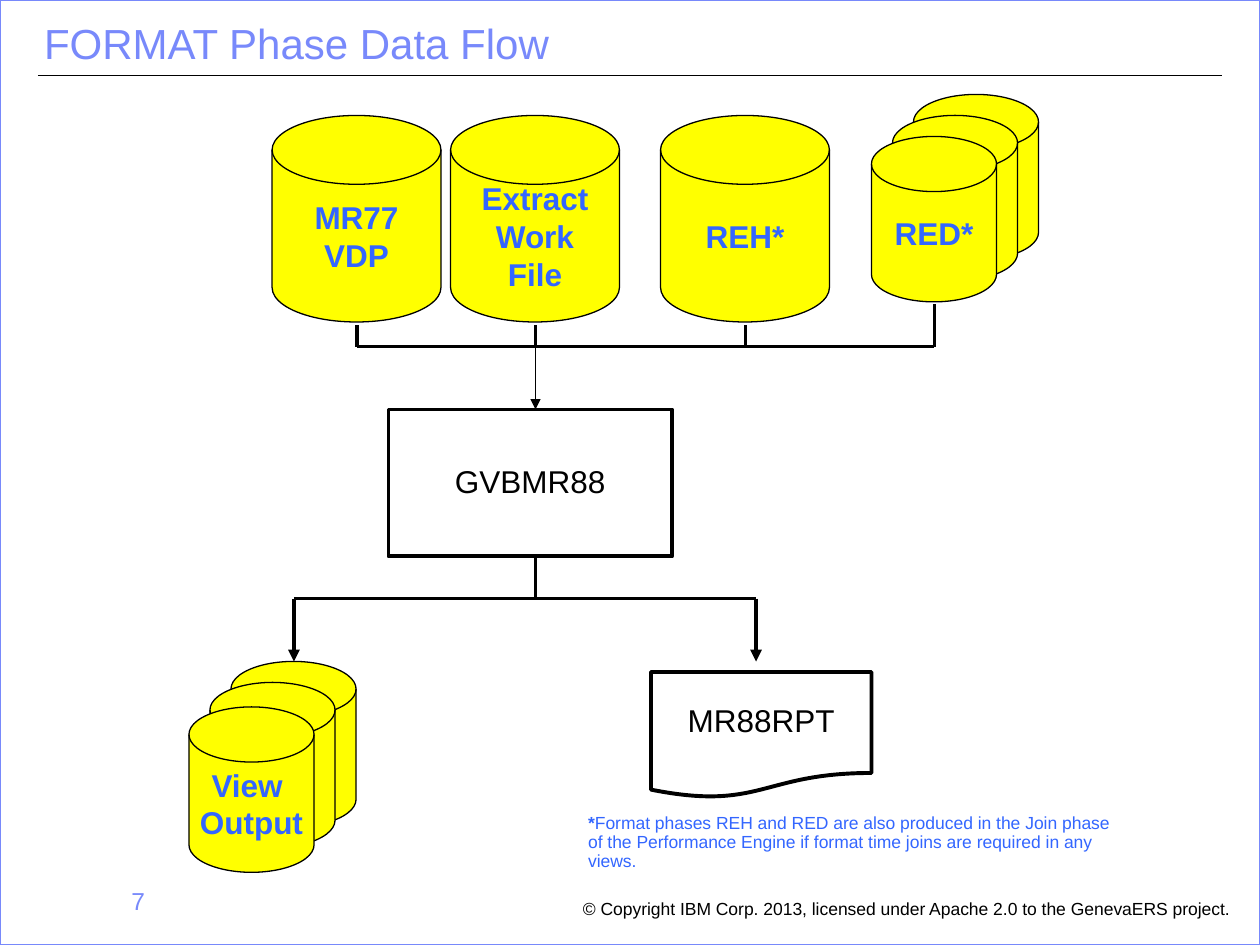
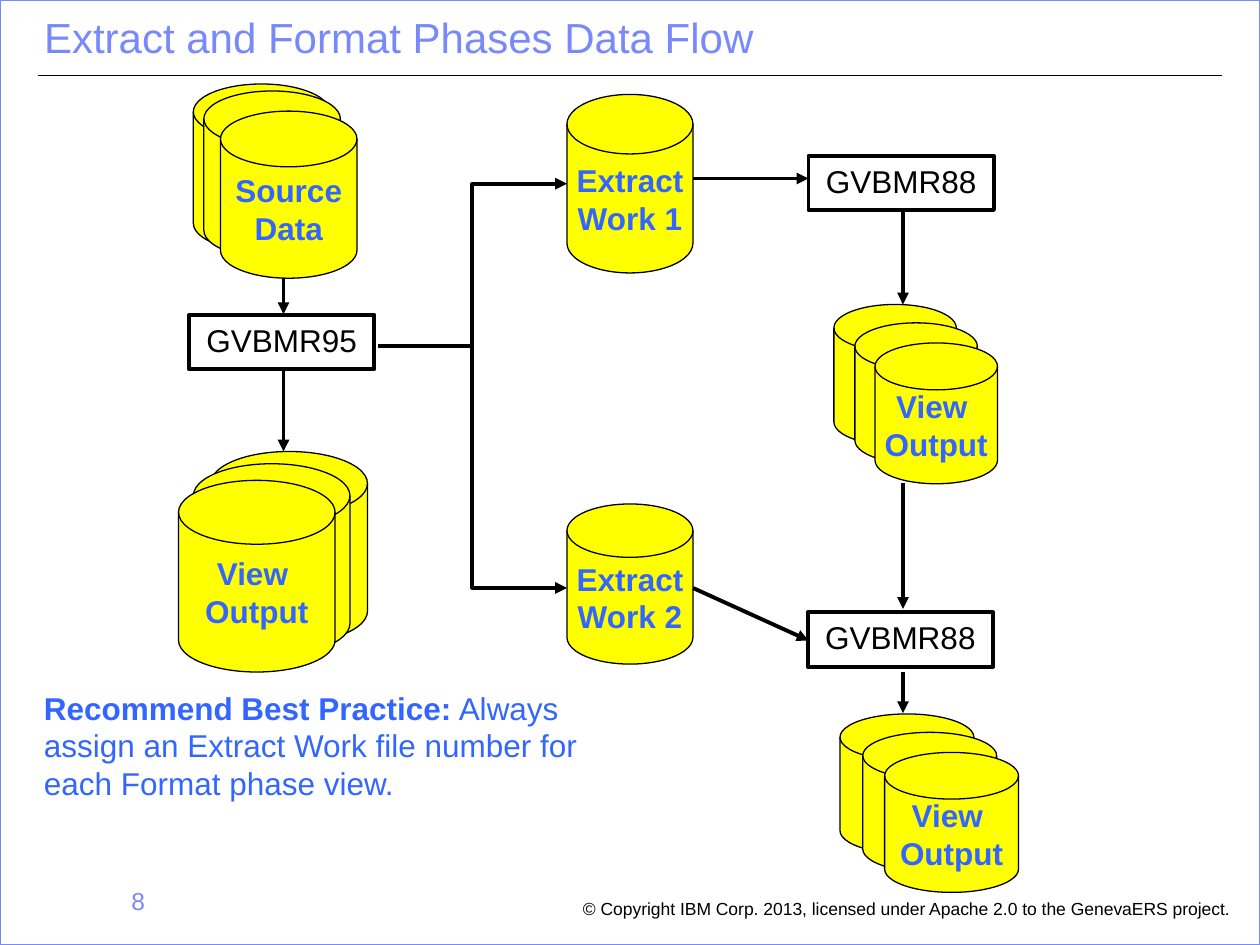
from lxml.etree import SubElement
from pptx import Presentation
from pptx.dml.color import RGBColor
from pptx.enum.shapes import MSO_CONNECTOR as CONN, MSO_SHAPE as SHAPE
from pptx.enum.text import MSO_ANCHOR as ANCHOR, MSO_AUTO_SIZE as AUTO, PP_ALIGN as ALIGN
from pptx.oxml.ns import qn
from pptx.util import Pt

BLACK = RGBColor(0x00, 0x00, 0x00)
PERIWINKLE = RGBColor(0x78, 0x89, 0xFB)
BLUE = RGBColor(0x33, 0x66, 0xFF)
YELLOW = RGBColor(0xFF, 0xFF, 0x00)
FONT = "Arial"
THIN, THICK = 0.75, 2.25
WIDTH, HEIGHT = 720, 540
COPYRIGHT = "© Copyright IBM Corp. 2013, licensed under Apache 2.0 to the GenevaERS project."


def format_run(r, size, color, bold=False):
    r.font.name = FONT
    r.font.size = Pt(size)
    r.font.bold = bold
    r.font.color.rgb = color


def format_text(tf, size, color, bold=False, align=ALIGN.LEFT, spacing=None):
    for p in tf.paragraphs:
        p.alignment = align
        p.line_spacing = spacing
        for r in p.runs:
            format_run(r, size, color, bold)


def add_shape(s, kind, x, y, w, h, color=BLACK, weight=THIN, fill=None):
    sp = s.shapes.add_shape(kind, Pt(x), Pt(y), Pt(w), Pt(h))
    sp.shadow.inherit = False
    if fill is None:
        sp.fill.background()
    else:
        sp.fill.solid()
        sp.fill.fore_color.rgb = fill
    sp.line.color.rgb = color
    sp.line.width = Pt(weight)
    return sp


def add_label(sp, text, color, bold=False, spacing=None):
    tf = sp.text_frame
    tf.text = text
    tf.word_wrap = False
    tf.vertical_anchor = ANCHOR.MIDDLE
    format_text(tf, 18, color, bold, ALIGN.CENTER, spacing)


def add_program(s, text, x, y, w=106, h=31, kind=SHAPE.RECTANGLE):
    add_label(add_shape(s, kind, x, y, w, h, weight=THICK), text, BLACK, spacing=0.9)


def add_disks(s, text, w, h, *corners):
    for x, y in corners:
        disk = add_shape(s, SHAPE.FLOWCHART_MAGNETIC_DISK, x, y, w, h, fill=YELLOW)
    add_label(disk, text, BLUE, bold=True)


def add_line(s, x1, y1, x2, y2, weight=THICK, arrow=False, kind=CONN.STRAIGHT):
    line = s.shapes.add_connector(kind, Pt(x1), Pt(y1), Pt(x2), Pt(y2))
    line.line.color.rgb = BLACK
    line.line.width = Pt(weight)
    sp_pr = line._element.spPr
    if arrow:
        SubElement(sp_pr.find(qn("a:ln")), qn("a:tailEnd"), type="triangle")
    SubElement(sp_pr, qn("a:effectLst"))


def add_arrow(s, x1, y1, x2, y2, weight=THICK, kind=CONN.STRAIGHT):
    add_line(s, x1, y1, x2, y2, weight, True, kind)


def add_text(s, text, x, y, w, h, size, color, wrap=True, **style):
    tf = s.shapes.add_textbox(Pt(x), Pt(y), Pt(w), Pt(h)).text_frame
    tf.text = text
    tf.word_wrap = wrap
    format_text(tf, size, color, **style)
    return tf


def add_note(s, lead, rest, x, y, w, h, size, spacing=None):
    tf = add_text(s, lead, x, y, w, h, size, BLUE, bold=True, spacing=spacing)
    r = tf.paragraphs[0].add_run()
    r.text = rest
    format_run(r, size, BLUE)


def add_slide(prs, title, number, title_top):
    s = prs.slides.add_slide(prs.slide_layouts[5])
    sp = s.shapes.title
    sp.left, sp.top, sp.width, sp.height = Pt(18), Pt(title_top), Pt(564), Pt(39.6)
    tf = sp.text_frame
    tf.text = title
    tf.auto_size = AUTO.NONE
    tf.vertical_anchor = ANCHOR.BOTTOM
    format_text(tf, 24, PERIWINKLE, spacing=0.9)
    add_line(s, 21.6, 43.2, 698.4, 43.2, THIN)
    add_shape(s, SHAPE.RECTANGLE, 0, 0, WIDTH, HEIGHT, PERIWINKLE, 1)
    add_text(s, COPYRIGHT, 326, 511, 387, 18, 10, BLACK, wrap=False, spacing=0.9)
    add_text(s, str(number), 18, 502.5, 72, 37.5, 14, PERIWINKLE, align=ALIGN.RIGHT)
    return s


def build_format_phase(prs):
    s = add_slide(prs, "FORMAT Phase Data Flow", 7, 3)
    for text, x in (("MR77\nVDP", 155.5), ("Extract\nWork\nFile", 257.5), ("REH*", 377.5)):
        add_disks(s, text, 96.5, 118, (x, 66))
    add_disks(s, "RED*", 71.5, 94.5, (522, 54), (510, 66), (498, 78))
    for x, top in ((204, 186), (306, 186), (426, 186), (534, 174)):
        add_line(s, x, top, x, 198)
    add_line(s, 204, 198, 534, 198)
    add_arrow(s, 306, 198, 306, 234, THIN)

    add_program(s, "GVBMR88", 222, 234, 162, 84)
    add_line(s, 306, 318, 306, 342)
    add_line(s, 168, 342, 432, 342)

    add_disks(s, "View \nOutput", 71.5, 94.5, (132, 378), (120, 390), (108, 404))
    add_program(s, "MR88RPT", 372, 384, 126, 72, SHAPE.FLOWCHART_DOCUMENT)
    for x in (168, 432):
        add_arrow(s, x, 342, x, 378)
    add_note(s, "*", "Format phases REH and RED are also produced in the Join phase of the "
             "Performance Engine if format time joins are required in any views.",
             329, 462, 319, 40, 10, 0.9)


def build_extract_and_format(prs):
    s = add_slide(prs, "Extract and Format Phases Data Flow", 8, 0)
    add_disks(s, "Source\nData", 78, 95.5, (110.5, 48), (116.5, 52), (126, 63.5))
    add_program(s, "GVBMR95", 108, 180)
    add_disks(s, "View \nOutput", 89.5, 109.5, (120.5, 258), (110.5, 265), (102, 274.5))
    add_disks(s, "Extract\nWork 1", 72, 102, (324, 54))
    add_disks(s, "Extract\nWork 2", 72, 91.5, (324, 288))
    add_program(s, "GVBMR88", 462, 89)
    add_disks(s, "View \nOutput", 70, 80.5, (476.5, 174), (488.5, 184.5), (500, 196))
    add_program(s, "GVBMR88", 461.5, 350)
    add_disks(s, "View \nOutput", 76.5, 80, (480, 408), (493, 418.5), (505.5, 430))

    for x, top, bottom in ((162, 159, 179.5), (162, 210, 258), (516, 120, 174),
                           (516, 276, 348), (516, 384, 407.5)):
        add_arrow(s, x, top, x, bottom)
    for y in (105, 336):
        add_arrow(s, 216, 198, 324, y, kind=CONN.ELBOW)
    add_arrow(s, 396, 102, 462, 102)
    add_arrow(s, 396, 336, 462, 366)
    add_note(s, "Recommend Best Practice:",
             " Always assign an Extract Work file number for each Format phase view.",
             18, 390, 360, 84, 18)


def main():
    prs = Presentation()
    prs.slide_width, prs.slide_height = Pt(WIDTH), Pt(HEIGHT)
    build_format_phase(prs)
    build_extract_and_format(prs)
    prs.save("out.pptx")


if __name__ == "__main__":
    main()
